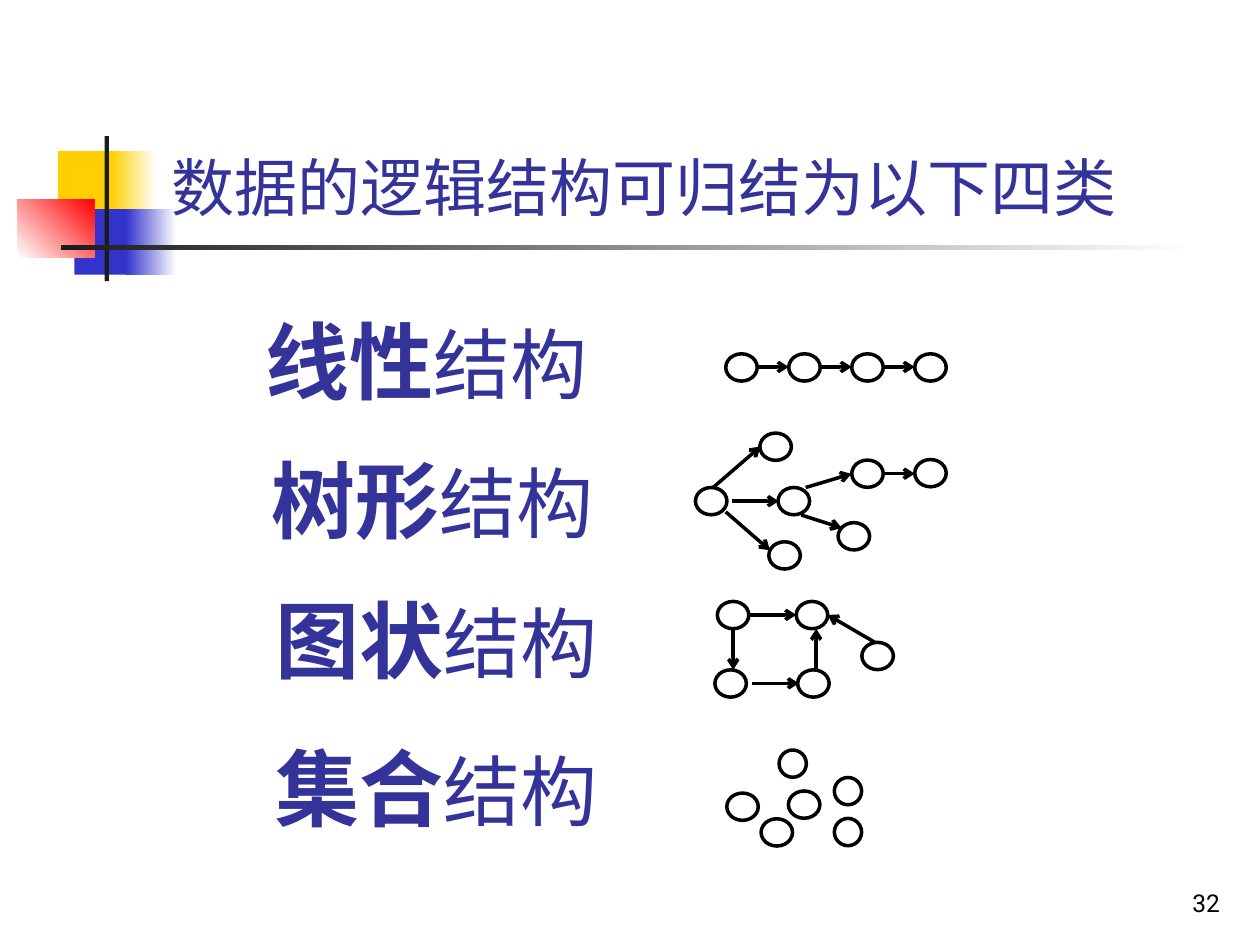
from dataclasses import dataclass
from typing import Optional

from lxml.etree import SubElement
from pptx import Presentation
from pptx.dml.color import RGBColor as Rgb
from pptx.enum.shapes import MSO_CONNECTOR as Line, MSO_SHAPE as Preset
from pptx.enum.text import MSO_ANCHOR as Anchor, MSO_AUTO_SIZE as AutoSize, PP_ALIGN as Align
from pptx.oxml.ns import qn
from pptx.util import Pt


@dataclass(frozen=True)
class Theme:
    ink: str = "333399"
    black: str = "000000"
    white: str = "FFFFFF"
    yellow: str = "FFCF01"
    blue: str = "3333CC"
    red: str = "FF0000"
    rule: str = "1C1C1C"
    latin: str = "Roboto"
    chinese: str = "Noto Sans CJK SC"
    title: float = 36
    kind: float = 48
    suffix: float = 44
    number: float = 14
    stroke: float = 2


@dataclass(frozen=True)
class Box:
    left: float
    top: float
    width: float
    height: float


@dataclass(frozen=True)
class Block:
    box: Box
    start: str
    end: Optional[str] = None
    angle: float = 0


@dataclass(frozen=True)
class Words:
    text: str
    size: float
    font: str
    color: str
    bold: bool = False


@dataclass(frozen=True)
class Node:
    left: float
    top: float
    width: float = 18


@dataclass(frozen=True)
class Arrow:
    x1: float
    y1: float
    x2: float
    y2: float


@dataclass(frozen=True)
class Structure:
    name: str
    label: Box
    nodes: list[Node]
    arrows: list[Arrow]


THEME = Theme()
NODE_HEIGHT = 15.6
CHAIN_LEFT, CHAIN_TOP, CHAIN_STEP = 414.7, 202.2, 36

ORNAMENT = [
    Block(Box(33.1, 86.4, 34.6, 37.4), THEME.yellow),
    Block(Box(63.4, 86.4, 25.9, 37.4), THEME.yellow, THEME.white),
    Block(Box(42.5, 119.5, 33.1, 37.4), THEME.blue),
    Block(Box(72, 119.5, 28.8, 37.4), THEME.blue, THEME.white),
    Block(Box(9.9, 113.8, 44, 33.1), THEME.white, THEME.red, 45),
    Block(Box(59.8, 77.8, 2.4, 82.8), THEME.rule),
    Block(Box(34.6, 140.2, 648, 2.5), THEME.rule, THEME.white),
]

STRUCTURES = [
    Structure(
        "线性", Box(144.7, 173.5, 250.6, 64.8),
        [Node(CHAIN_LEFT + CHAIN_STEP * i, CHAIN_TOP) for i in range(4)],
        [Arrow(CHAIN_LEFT + CHAIN_STEP * i + 18, 209.7, CHAIN_LEFT + CHAIN_STEP * (i + 1), 209.7)
         for i in range(3)],
    ),
    Structure(
        "树形", Box(148.3, 252.7, 241.2, 64.8),
        [Node(397.4, 278.6), Node(434.2, 247.5), Node(444.6, 278.6), Node(439.3, 309.6),
         Node(486.7, 262.9), Node(478.9, 298.7), Node(522.7, 262.6)],
        [Arrow(418.3, 286.4, 445, 286.4), Arrow(407.5, 278.6, 434.6, 255.2),
         Arrow(414.7, 292.5, 440, 314.5), Arrow(460.4, 278.6, 486.5, 270.8),
         Arrow(457.9, 294.3, 481, 301.7), Arrow(504.7, 270.7, 522.7, 270.7)],
    ),
    Structure(
        "图状", Box(150.5, 332.6, 244.8, 64.8),
        [Node(408.5, 382.8), Node(409.9, 343.7), Node(455.8, 382.8), Node(455, 343.7),
         Node(492.5, 367.1)],
        [Arrow(429.8, 390.5, 456.5, 390.5), Arrow(427.9, 351.4, 455, 351.4),
         Arrow(419, 359.3, 419, 382.8), Arrow(466.4, 382.8, 466.4, 359.3),
         Arrow(500, 367.1, 473, 351.4)],
    ),
    Structure(
        "集合", Box(150.5, 417.6, 244.8, 64.8),
        [Node(450.5, 452), Node(434.9, 467.9), Node(415.3, 453.2), Node(476.8, 467.7, 15.6),
         Node(476.8, 444.3, 15.6), Node(445.2, 428.6, 15.6)],
        [],
    ),
]


def place(box: Box) -> tuple:
    """Return the box as four lengths."""
    return Pt(box.left), Pt(box.top), Pt(box.width), Pt(box.height)


def draw_block(slide, block: Block) -> None:
    """Draw a borderless rectangle with a plain or fading fill."""
    rect = slide.shapes.add_shape(Preset.RECTANGLE, *place(block.box))
    rect.shadow.inherit = False
    rect.line.fill.background()
    if block.end is None:
        rect.fill.solid()
        rect.fill.fore_color.rgb = Rgb.from_string(block.start)
        return
    rect.fill.gradient()
    rect.fill.gradient_angle = block.angle
    for stop, color in zip(rect.fill.gradient_stops, (block.start, block.end)):
        stop.color.rgb = Rgb.from_string(color)


def draw_text(slide, box: Box, parts: list[Words], anchor=Anchor.TOP, align=Align.LEFT,
              fit=AutoSize.NONE) -> None:
    """Draw one line of text made of differently styled parts."""
    frame = slide.shapes.add_textbox(*place(box)).text_frame
    frame.word_wrap = True
    frame.auto_size = fit
    frame.vertical_anchor = anchor
    line = frame.paragraphs[0]
    line.alignment = align
    for words in parts:
        run = line.add_run()
        run.text = words.text
        run.font.size = Pt(words.size)
        run.font.bold = words.bold
        run.font.color.rgb = Rgb.from_string(words.color)
        run.font.name = words.font
        SubElement(run.font._element, qn("a:ea")).set("typeface", words.font)


def draw_node(slide, node: Node) -> None:
    """Draw one data element as an outlined ellipse."""
    box = Box(node.left, node.top, node.width, NODE_HEIGHT)
    oval = slide.shapes.add_shape(Preset.OVAL, *place(box))
    oval.shadow.inherit = False
    oval.fill.solid()
    oval.fill.fore_color.rgb = Rgb.from_string(THEME.white)
    oval.line.color.rgb = Rgb.from_string(THEME.black)
    oval.line.width = Pt(THEME.stroke)


def draw_arrow(slide, arrow: Arrow) -> None:
    """Draw one relation with an open arrowhead at its end."""
    ends = (Pt(arrow.x1), Pt(arrow.y1), Pt(arrow.x2), Pt(arrow.y2))
    link = slide.shapes.add_connector(Line.STRAIGHT, *ends)
    link.line.color.rgb = Rgb.from_string(THEME.black)
    link.line.width = Pt(THEME.stroke)
    SubElement(link.line._get_or_add_ln(), qn("a:tailEnd")).set("type", "arrow")
    SubElement(link._element.spPr, qn("a:effectLst"))


def draw_structure(slide, structure: Structure) -> None:
    """Draw a structure's label and its diagram."""
    kind = Words(structure.name, THEME.kind, THEME.chinese, THEME.ink, True)
    suffix = Words("结构", THEME.suffix, THEME.chinese, THEME.ink)
    draw_text(slide, structure.label, [kind, suffix], fit=AutoSize.SHAPE_TO_FIT_TEXT)
    for node in structure.nodes:
        draw_node(slide, node)
    for arrow in structure.arrows:
        draw_arrow(slide, arrow)


def main() -> None:
    """Build the slide on logical data structures."""
    deck = Presentation()
    deck.slide_width, deck.slide_height = Pt(720), Pt(540)
    slide = deck.slides.add_slide(deck.slide_layouts[6])
    for block in ORNAMENT:
        draw_block(slide, block)
    number = Words("32", THEME.number, THEME.latin, THEME.black)
    draw_text(slide, Box(554.4, 491.8, 149.8, 36), [number], Anchor.BOTTOM, Align.RIGHT)
    title = Words("数据的逻辑结构可归结为以下四类", THEME.title, THEME.latin, THEME.ink)
    draw_text(slide, Box(90.7, 16.6, 613.4, 115.2), [title], Anchor.BOTTOM)
    for structure in STRUCTURES:
        draw_structure(slide, structure)
    deck.save("out.pptx")


if __name__ == "__main__":
    main()
